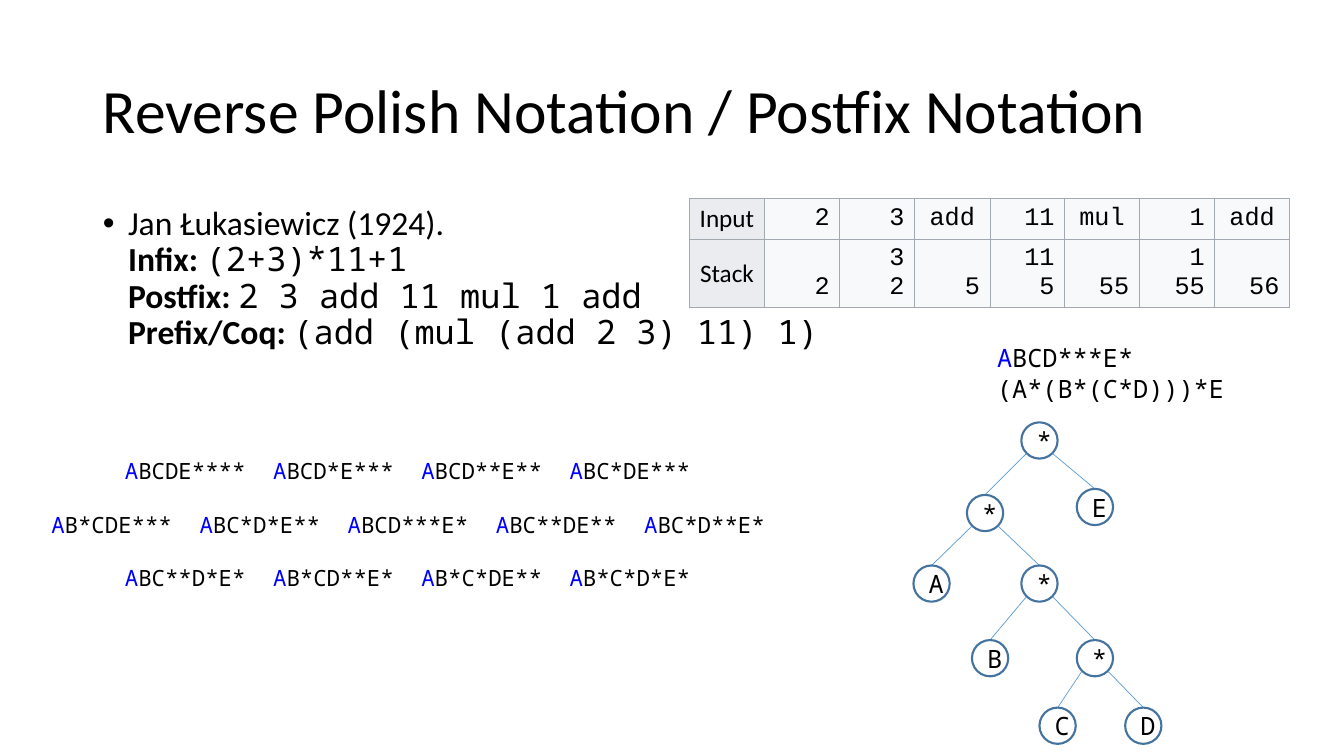
from dataclasses import dataclass

from lxml.etree import SubElement
from pptx import Presentation
from pptx.dml.color import RGBColor
from pptx.enum.shapes import MSO_CONNECTOR, MSO_SHAPE
from pptx.enum.text import MSO_ANCHOR, MSO_AUTO_SIZE, PP_ALIGN
from pptx.oxml.ns import qn
from pptx.util import Emu, Pt


@dataclass(frozen=True)
class Theme:
    sans: str = "Calibri"
    mono: str = "Noto Sans Mono"
    courier: str = "Courier New"
    ink: str = "000000"
    accent: str = "0000FF"
    node_line: str = "43739E"
    edge_line: str = "5B9BD5"
    header_fill: str = "EAECF0"
    cell_fill: str = "F8F9FA"
    cell_border: str = "A2A9B1"
    title_size: int = 44
    body_size: int = 24
    text_size: int = 18
    word_size: int = 16


@dataclass(frozen=True)
class Box:
    left: int
    top: int
    width: int
    height: int

    def emu(self):
        return px(self.left), px(self.top), px(self.width), px(self.height)


@dataclass(frozen=True)
class Node:
    label: str
    left: int
    top: int
    children: tuple = ()


@dataclass(frozen=True)
class Step:
    token: str
    stack: str


@dataclass(frozen=True)
class Notation:
    caption: str
    expression: str


THEME = Theme()
NODE_SIZE = 36
NODE_INSET = 5
WORD_PITCH = 147
WORD_START = 7

NOTATIONS = (
    Notation("Infix: ", "(2+3)*11+1"),
    Notation("Postfix: ", "2 3 add 11 mul 1 add"),
    Notation("Prefix/Coq: ", "(add (mul (add 2 3) 11) 1)"),
)
STEPS = (
    Step("2", "2"), Step("3", "3\n2"), Step("add", "5"), Step("11", "11\n5"),
    Step("mul", "55"), Step("1", "1\n55"), Step("add", "56"),
)
WORD_ROWS = (
    ("ABCDE****", "ABCD*E***", "ABCD**E**", "ABC*DE***"),
    ("AB*CDE***", "ABC*D*E**", "ABCD***E*", "ABC**DE**", "ABC*D**E*"),
    ("ABC**D*E*", "AB*CD**E*", "AB*C*DE**", "AB*C*D*E*"),
)
PRODUCT_CD = Node("*", 1068, 635, (Node("C", 1031, 702), Node("D", 1116, 702)))
PRODUCT_BCD = Node("*", 1013, 561, (Node("B", 964, 635), PRODUCT_CD))
PRODUCT_ABCD = Node("*", 959, 491, (Node("A", 906, 561), PRODUCT_BCD))
TREE = Node("*", 1013, 419, (PRODUCT_ABCD, Node("E", 1068, 485)))


def px(length: int) -> Emu:
    return Emu(length * 9144)


def rgb(color: str) -> RGBColor:
    return RGBColor.from_string(color)


def write(paragraph, text: str, *, size: int = THEME.text_size, font: str = THEME.mono,
          color: str = THEME.ink, bold: bool = False) -> None:
    for index, line in enumerate(text.split("\n")):
        if index:
            paragraph.add_line_break()
            SubElement(paragraph._p[-1], qn("a:rPr"), sz=str(size * 100))
        if line:
            run = paragraph.add_run()
            run.text = line
            run.font.size = Pt(size)
            run.font.name = font
            run.font.bold = bold
            run.font.color.rgb = rgb(color)


def write_word(paragraph, word: str, size: int) -> None:
    write(paragraph, word[0], size=size, color=THEME.accent)
    write(paragraph, word[1:], size=size)


def place(placeholder, box: Box):
    placeholder.left, placeholder.top, placeholder.width, placeholder.height = box.emu()
    frame = placeholder.text_frame
    frame.auto_size = MSO_AUTO_SIZE.NONE
    frame.word_wrap = True
    paragraph = frame.paragraphs[0]
    paragraph.alignment = PP_ALIGN.LEFT
    paragraph.line_spacing = 0.9
    paragraph.space_before = Pt(0)
    return paragraph


def fill_placeholders(slide) -> None:
    title = slide.shapes.title
    heading = place(title, Box(92, 40, 1150, 145))
    title.text_frame.vertical_anchor = MSO_ANCHOR.MIDDLE
    write(heading, "Reverse Polish Notation / Postfix Notation",
          size=THEME.title_size, font=THEME.sans)
    item = place(slide.placeholders[1], Box(92, 200, 1150, 171))
    properties = item._p.get_or_add_pPr()
    properties.set("marL", str(px(25)))
    properties.set("indent", str(px(-25)))
    SubElement(properties, qn("a:buFont"), typeface="Arial")
    SubElement(properties, qn("a:buChar"), char="•")
    write(item, "Jan Łukasiewicz (1924).", size=THEME.body_size, font=THEME.sans)
    for notation in NOTATIONS:
        write(item, "\n" + notation.caption, size=THEME.body_size, font=THEME.sans, bold=True)
        write(item, notation.expression, size=THEME.body_size)


def fill_cell(cell, text: str, font: str, fill: str, align: PP_ALIGN,
              anchor: MSO_ANCHOR) -> None:
    properties = cell._tc.get_or_add_tcPr()
    for side in ("lnL", "lnR", "lnT", "lnB"):
        border = SubElement(properties, qn(f"a:{side}"), w=str(Pt(0.75)))
        solid = SubElement(border, qn("a:solidFill"))
        SubElement(solid, qn("a:srgbClr"), val=THEME.cell_border)
    cell.fill.solid()
    cell.fill.fore_color.rgb = rgb(fill)
    cell.vertical_anchor = anchor
    if align == PP_ALIGN.CENTER:
        cell.margin_left = cell.margin_right = px(5)
    paragraph = cell.text_frame.paragraphs[0]
    paragraph.alignment = align
    write(paragraph, text, font=font)


def draw_stack_table(slide) -> None:
    box = Box(684, 197, 595, 107)
    count = len(STEPS) + 1
    table = slide.shapes.add_table(2, count, *box.emu()).table
    table.first_row = table.horz_banding = False
    for index, column in enumerate(table.columns):
        column.width = px(round(box.width * (index + 1) / count) - round(box.width * index / count))
    for row, height in zip(table.rows, (41, 66)):
        row.height = px(height)
    for index, caption in enumerate(("Input", "Stack")):
        fill_cell(table.cell(index, 0), caption, THEME.sans, THEME.header_fill,
                  PP_ALIGN.CENTER, MSO_ANCHOR.MIDDLE)
    for index, step in enumerate(STEPS, 1):
        token_align = PP_ALIGN.RIGHT if step.token.isdigit() else PP_ALIGN.CENTER
        fill_cell(table.cell(0, index), step.token, THEME.courier, THEME.cell_fill,
                  token_align, MSO_ANCHOR.MIDDLE)
        fill_cell(table.cell(1, index), step.stack, THEME.courier, THEME.cell_fill,
                  PP_ALIGN.RIGHT, MSO_ANCHOR.BOTTOM)


def draw_words(slide) -> None:
    frame = slide.shapes.add_textbox(*Box(34, 449, 741, 145).emu()).text_frame
    frame.word_wrap = True
    longest = max(map(len, WORD_ROWS))
    for index, words in enumerate(WORD_ROWS):
        line = frame.add_paragraph() if index else frame.paragraphs[0]
        line.space_before = Pt(19 if index else 0)
        start = WORD_START + (longest - len(words)) * WORD_PITCH // 2
        stops = SubElement(line._p.get_or_add_pPr(), qn("a:tabLst"))
        for position, word in enumerate(words):
            SubElement(stops, qn("a:tab"), pos=str(px(start + position * WORD_PITCH)), algn="l")
            write(line, "\t", size=THEME.word_size)
            write_word(line, word, THEME.word_size)


def draw_tree_caption(slide) -> None:
    frame = slide.shapes.add_textbox(*Box(979, 335, 249, 71).emu()).text_frame
    frame.word_wrap = False
    write_word(frame.paragraphs[0], "ABCD***E*", THEME.text_size)
    write(frame.add_paragraph(), "(A*(B*(C*D)))*E")


def draw_tree(slide, node: Node) -> None:
    box = Box(node.left, node.top, NODE_SIZE, NODE_SIZE)
    circle = slide.shapes.add_shape(MSO_SHAPE.OVAL, *box.emu())
    circle.shadow.inherit = False
    circle.fill.background()
    circle.line.color.rgb = rgb(THEME.node_line)
    circle.line.width = Pt(1.5)
    circle.text_frame.vertical_anchor = MSO_ANCHOR.MIDDLE
    label = circle.text_frame.paragraphs[0]
    label.alignment = PP_ALIGN.CENTER
    write(label, node.label)
    for child, offset in zip(node.children, (NODE_INSET, NODE_SIZE - NODE_INSET)):
        edge = slide.shapes.add_connector(
            MSO_CONNECTOR.STRAIGHT, px(child.left + NODE_SIZE // 2), px(child.top),
            px(node.left + offset), px(node.top + NODE_SIZE - NODE_INSET))
        edge.line.color.rgb = rgb(THEME.edge_line)
        edge.line.width = Pt(0.5)
        SubElement(edge._element.spPr, qn("a:effectLst"))
        draw_tree(slide, child)


def main() -> None:
    deck = Presentation()
    deck.slide_width, deck.slide_height = px(1333), px(750)
    slide = deck.slides.add_slide(deck.slide_layouts[1])
    fill_placeholders(slide)
    draw_stack_table(slide)
    draw_words(slide)
    draw_tree_caption(slide)
    draw_tree(slide, TREE)
    deck.save("out.pptx")


if __name__ == "__main__":
    main()
